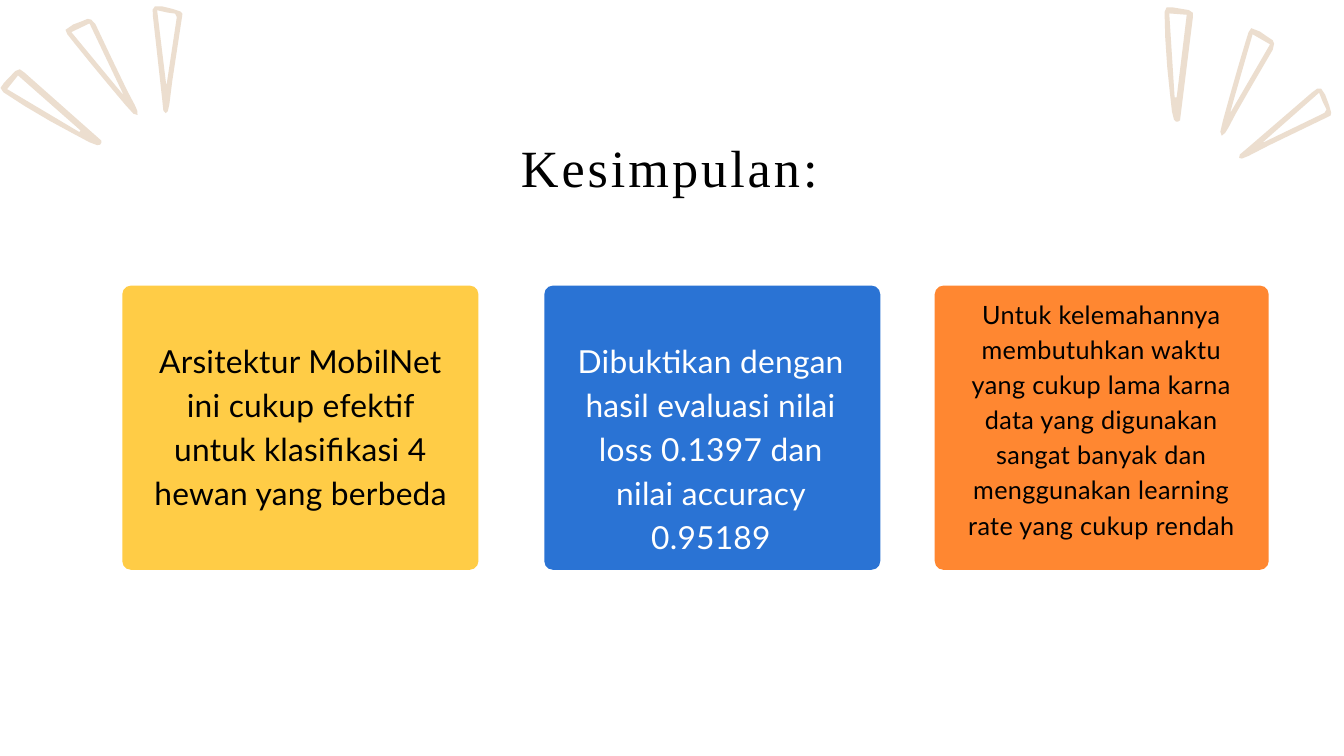
from dataclasses import dataclass

from pptx import Presentation
from pptx.dml.color import RGBColor
from pptx.enum.shapes import MSO_SHAPE
from pptx.enum.text import MSO_ANCHOR, MSO_AUTO_SIZE, PP_ALIGN
from pptx.util import Inches, Pt

ROUNDED = MSO_SHAPE.ROUNDED_RECTANGLE
TOP = MSO_ANCHOR.TOP
FIT_SHAPE = MSO_AUTO_SIZE.SHAPE_TO_FIT_TEXT
LEFT, CENTER = PP_ALIGN.LEFT, PP_ALIGN.CENTER


@dataclass(frozen=True)
class Theme:
    title_font: str = "Times New Roman"
    body_font: str = "Lato"
    title_size: int = 56
    large_size: int = 34
    small_size: int = 27
    black: str = "000000"
    white: str = "FFFFFF"
    yellow: str = "FFCC46"
    blue: str = "2A73D4"
    orange: str = "FF8731"
    beige: str = "ECDECF"


THEME = Theme()
CARD_TOP, CARD_HEIGHT, CARD_RADIUS = 4.25, 4.23, 0.13

CARDS = [
    dict(left=1.82, width=5.3, fill=THEME.yellow, color=THEME.black,
         size=THEME.large_size, spacing=0.3, box=(2.24, 4.98, 4.47, 2.65),
         text="Arsitektur MobilNet ini cukup efektif untuk klasifikasi 4 hewan yang berbeda"),
    dict(left=8.1, width=5, fill=THEME.blue, color=THEME.white,
         size=THEME.large_size, spacing=0.3, box=(8.53, 4.98, 4.1, 3.3),
         text="Dibuktikan dengan hasil evaluasi nilai loss 0.1397 dan nilai accuracy 0.95189"),
    dict(left=13.91, width=4.97, fill=THEME.orange, color=THEME.black,
         size=THEME.small_size, spacing=0.4, box=(14.31, 4.37, 4.16, 3.67),
         text="Untuk kelemahannya membutuhkan waktu yang cukup lama karna data yang "
              "digunakan sangat banyak dan menggunakan learning rate yang cukup rendah"),
]

# Ray contours in hundredths of an inch: each outer edge is followed by its opening.
RAY_CONTOURS = [
    [(1818, 202), (1816, 196), (1820, 179), (1830, 143), (1842, 101), (1853, 64),
     (1858, 48), (1862, 42), (1875, 47), (1885, 54), (1894, 60), (1896, 65),
     (1894, 74), (1866, 122), (1839, 169), (1828, 190), (1823, 198)],
    [(1864, 51), (1837, 145), (1831, 166), (1832, 166), (1890, 66)],
    [(1750, 181), (1747, 178), (1744, 166), (1741, 139), (1737, 100), (1734, 56),
     (1733, 18), (1736, 11), (1745, 11), (1769, 15), (1775, 19), (1775, 27),
     (1769, 75), (1756, 179), (1753, 181)],
    [(1740, 20), (1748, 145), (1751, 145), (1766, 22)],
    [(1844, 235), (1845, 230), (1858, 219), (1952, 138), (1960, 132), (1966, 132),
     (1972, 141), (1978, 157), (1981, 168), (1980, 172), (1976, 174), (1889, 216),
     (1858, 232), (1848, 236)],
    [(1963, 138), (1880, 211), (1880, 212), (1971, 168), (1974, 163), (1969, 153)],
]


def paint(shape, color):
    shape.shadow.inherit = False
    shape.fill.solid()
    shape.fill.fore_color.rgb = RGBColor.from_string(color)
    shape.line.fill.background()


def write_text(shape, text, *, font, size, color, spacing, align=CENTER, line_spacing=1):
    frame = shape.text_frame
    frame.word_wrap = True
    frame.auto_size = FIT_SHAPE
    frame.vertical_anchor = TOP
    frame.margin_left = frame.margin_right = frame.margin_bottom = 0
    frame.margin_top = Inches(0.01)
    paragraph = frame.paragraphs[0]
    paragraph.alignment = align
    paragraph.line_spacing = line_spacing
    paragraph.space_before = Pt(1)
    run = paragraph.add_run()
    run.text = text
    run.font.name = font
    run.font.size = Pt(size)
    run.font.color.rgb = RGBColor.from_string(color)
    run._r.get_or_add_rPr().set("spc", str(round(spacing * 100)))


def add_title(slide, text):
    title = slide.shapes.title
    title.left, title.top, title.width, title.height = map(Inches, (7.75, 2, 4.51, 0.96))
    write_text(title, text, font=THEME.title_font, size=THEME.title_size,
               color=THEME.black, spacing=3.2, align=LEFT)


def add_card(slide, left, width, fill, color, size, spacing, box, text):
    card = slide.shapes.add_shape(
        ROUNDED, Inches(left), Inches(CARD_TOP), Inches(width), Inches(CARD_HEIGHT))
    card.adjustments[0] = CARD_RADIUS / CARD_HEIGHT
    paint(card, fill)
    text_box = slide.shapes.add_textbox(*map(Inches, box))
    write_text(text_box, text, font=THEME.body_font, size=size, color=color,
               spacing=spacing, line_spacing=1.16)


def add_rays(slide, left, top, rotation=0):
    first, *others = RAY_CONTOURS
    builder = slide.shapes.build_freeform(*first[0], scale=Inches(0.01))
    builder.add_line_segments(first[1:], close=True)
    for contour in others:
        builder.move_to(*contour[0])
        builder.add_line_segments(contour[1:], close=True)
    rays = builder.convert_to_shape()
    rays.left, rays.top, rays.rotation = Inches(left), Inches(top), rotation
    paint(rays, THEME.beige)


def main():
    presentation = Presentation()
    presentation.slide_width, presentation.slide_height = Inches(20), Inches(11.25)
    slide = presentation.slides.add_slide(presentation.slide_layouts.get_by_name("Title Only"))
    add_title(slide, "Kesimpulan:")
    for card in CARDS:
        add_card(slide, **card)
    add_rays(slide, 17.33, 0.11)
    add_rays(slide, 0.38, -0.18, rotation=304.4)
    presentation.save("out.pptx")


if __name__ == "__main__":
    main()
